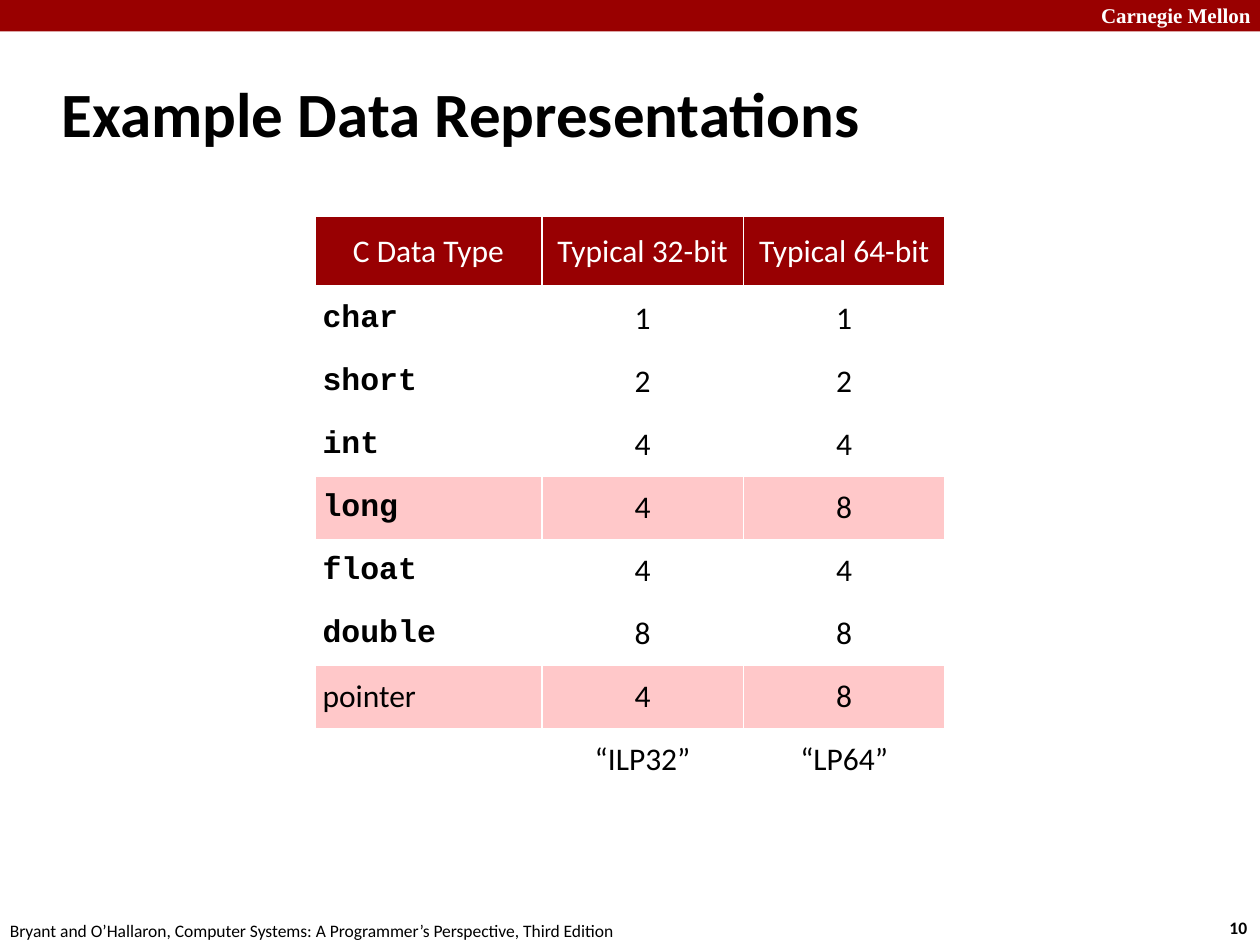
from lxml.etree import SubElement
from pptx import Presentation
from pptx.dml.color import RGBColor
from pptx.enum.shapes import MSO_SHAPE
from pptx.enum.text import MSO_ANCHOR, PP_ALIGN
from pptx.oxml.ns import qn
from pptx.util import Inches, Pt

THEME = {
    "font": "Calibri", "code_font": "Courier New", "brand_font": "Times New Roman",
    "black": "000000", "white": "FFFFFF", "bar": "990000",
    "header": "980002", "highlight": "FFC8C9",
    "title_size": 36, "table_size": 18, "bar_size": 12, "footer_size": 10,
}

TITLE = "Example Data Representations"
UNIVERSITY = "Carnegie Mellon"
CITATION = ("Bryant and O’Hallaron, Computer Systems: "
            "A Programmer’s Perspective, Third Edition")
PAGE_NUMBER = "10"

DATA_SIZES = [
    ("C Data Type", "Typical 32-bit", "Typical 64-bit"),
    ("char", "1", "1"),
    ("short", "2", "2"),
    ("int", "4", "4"),
    ("long", "4", "8"),
    ("float", "4", "4"),
    ("double", "8", "8"),
    ("pointer", "4", "8"),
    ("", "“ILP32”", "“LP64”"),
]
C_KEYWORDS = {"char", "short", "int", "long", "float", "double"}
HIGHLIGHTED = {"long", "pointer"}
COLUMN_WIDTHS = (1.8, 1.6, 1.6)
HEADER_HEIGHT, ROW_HEIGHT = 0.56, 0.5


def color(name):
    return RGBColor.from_string(THEME[name])


def write(text_frame, text, size, font="font", fill="black", bold=False,
          align=PP_ALIGN.LEFT, anchor=None):
    paragraph = text_frame.paragraphs[0]
    paragraph.alignment = align
    if anchor is not None:
        text_frame.vertical_anchor = anchor
    paragraph.font.size = Pt(THEME[size])
    if text:
        run = paragraph.add_run()
        run.text = text
        run.font.name = THEME[font]
        run.font.size = Pt(THEME[size])
        run.font.bold = bold
        run.font.color.rgb = color(fill)


def add_label(slide, text, left, top, width, height, wrap=False, **text_format):
    box = slide.shapes.add_textbox(Inches(left), Inches(top),
                                   Inches(width), Inches(height))
    box.text_frame.word_wrap = wrap
    write(box.text_frame, text, **text_format)


def set_borders(cell, top=1, bottom=1):
    """Draw white cell borders; widths are in points."""
    properties = cell._tc.get_or_add_tcPr()
    for side, width in (("L", 1), ("R", 1), ("T", top), ("B", bottom)):
        line = SubElement(properties, qn(f"a:ln{side}"), w=str(Pt(width)))
        fill = SubElement(line, qn("a:solidFill"))
        SubElement(fill, qn("a:srgbClr"), val=THEME["white"])


def add_size_table(slide):
    row_heights = [HEADER_HEIGHT] + [ROW_HEIGHT] * (len(DATA_SIZES) - 1)
    table = slide.shapes.add_table(
        len(DATA_SIZES), len(COLUMN_WIDTHS), Inches(2.5), Inches(1.72),
        Inches(sum(COLUMN_WIDTHS)), Inches(sum(row_heights))).table
    table.first_row = table.horz_banding = False
    for column, width in zip(table.columns, COLUMN_WIDTHS):
        column.width = Inches(width)

    for row_index, (row, height) in enumerate(zip(DATA_SIZES, row_heights)):
        table.rows[row_index].height = Inches(height)
        is_header = row_index == 0
        for column_index, text in enumerate(row):
            cell = table.cell(row_index, column_index)
            cell.margin_left = cell.margin_right = Inches(0.06)
            cell.margin_top = cell.margin_bottom = Inches(0.06)
            cell.vertical_anchor = MSO_ANCHOR.MIDDLE
            set_borders(cell, top=3 if row_index == 1 else 1,
                        bottom=3 if is_header else 1)
            if is_header or row[0] in HIGHLIGHTED:
                cell.fill.solid()
                cell.fill.fore_color.rgb = color("header" if is_header else "highlight")
            else:
                cell.fill.background()
            is_code = text in C_KEYWORDS
            centered = is_header or column_index > 0
            write(cell.text_frame, text, "table_size", bold=is_code,
                  font="code_font" if is_code else "font",
                  fill="white" if is_header else "black",
                  align=PP_ALIGN.CENTER if centered else PP_ALIGN.LEFT)


def main():
    presentation = Presentation()
    presentation.slide_width, presentation.slide_height = Inches(10), Inches(7.5)
    slide = presentation.slides.add_slide(presentation.slide_layouts[5])

    bar = slide.shapes.add_shape(MSO_SHAPE.RECTANGLE, 0, 0,
                                 presentation.slide_width, Inches(0.25))
    bar.shadow.inherit = False
    bar.fill.solid()
    bar.fill.fore_color.rgb = color("bar")
    bar.line.fill.background()

    add_label(slide, UNIVERSITY, 8.64, -0.03, 1.43, 0.3, wrap=True,
              size="bar_size", font="brand_font", fill="white", bold=True)
    add_label(slide, PAGE_NUMBER, 9.66, 7.23, 0.37, 0.27,
              size="footer_size", bold=True)
    add_label(slide, CITATION, -0.02, 7.25, 5.08, 0.27, size="footer_size")

    title = slide.shapes.title
    title.left, title.top = Inches(0.39), Inches(0.48)
    title.width, title.height = Inches(8.3), Inches(0.83)
    write(title.text_frame, TITLE, "title_size", bold=True, anchor=MSO_ANCHOR.MIDDLE)

    add_size_table(slide)
    presentation.save("out.pptx")


if __name__ == "__main__":
    main()
